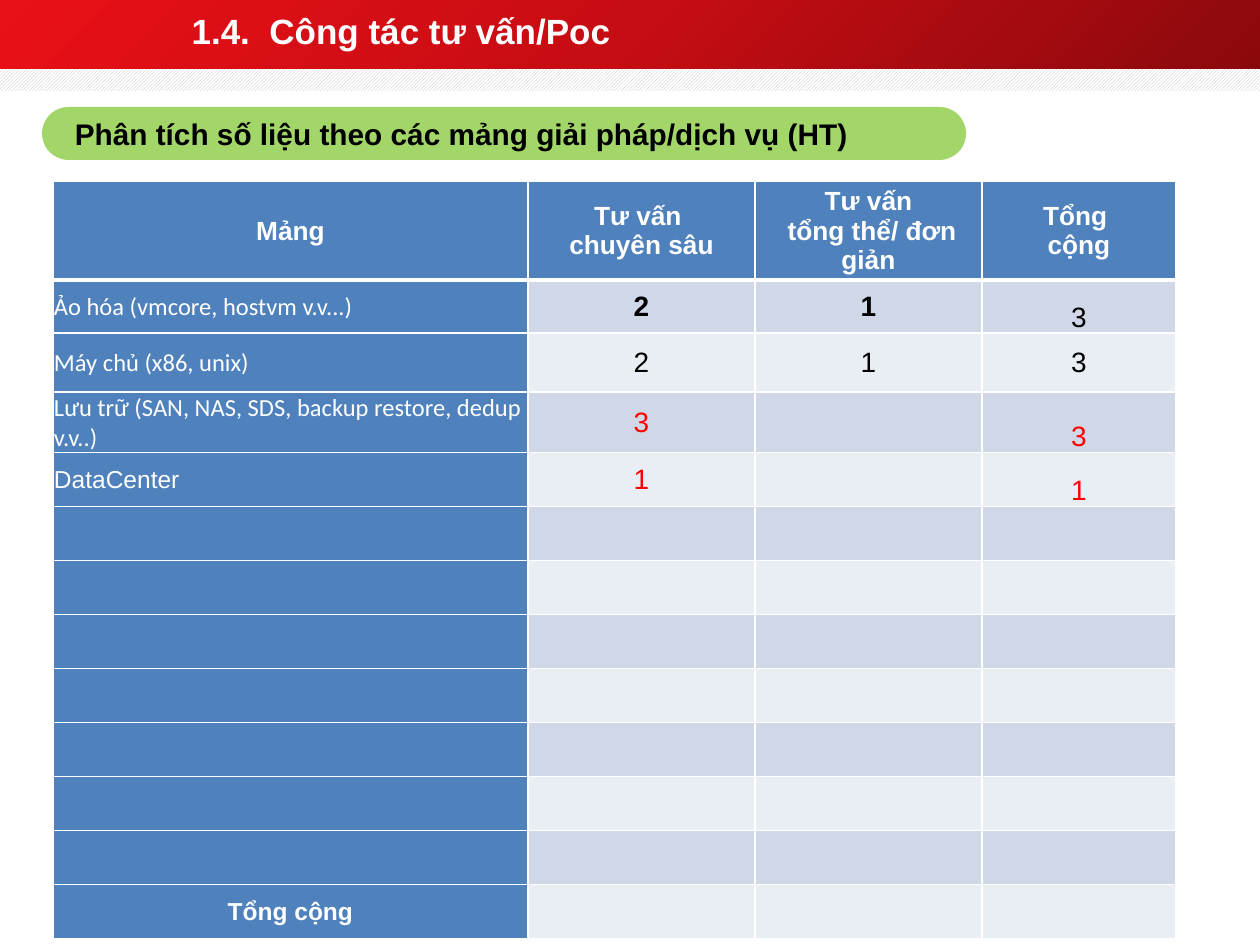
from copy import deepcopy
from dataclasses import dataclass

from pptx import Presentation
from pptx.dml.color import RGBColor
from pptx.enum.dml import MSO_PATTERN as Pattern
from pptx.enum.shapes import MSO_SHAPE as Shape
from pptx.enum.text import MSO_ANCHOR as Anchor, PP_ALIGN as Align
from pptx.oxml import parse_xml
from pptx.oxml.ns import nsdecls, qn
from pptx.util import Pt

TITLE = "1.4.  Công tác tư vấn/Poc"
TOPIC = "Phân tích số liệu theo các mảng giải pháp/dịch vụ (HT)"

# One list per cell: its paragraphs; "\v" breaks a line within a paragraph
HEAD = [["Mảng"], ["Tư vấn ", "chuyên sâu"],
        ["Tư vấn\v tổng thể/ đơn giản"], ["Tổng ", "cộng"]]
# area, font, (in depth, general, total), colour, bold counts, total anchor
AREAS = [
    ("Ảo hóa (vmcore, hostvm v.v...)", "Calibri", ("2", "1", "3"),
     "ink", True, Anchor.BOTTOM),
    ("Máy chủ (x86, unix)", "Calibri", ("2", "1", "3"),
     "ink", False, Anchor.MIDDLE),
    ("Lưu trữ (SAN, NAS, SDS, backup restore, dedup v.v..)", "Calibri",
     ("3", "", "3"), "alert", False, Anchor.BOTTOM),
    ("DataCenter", "Arial", ("1", "", "1"), "alert", False, Anchor.BOTTOM),
]
SUM = "Tổng cộng"
COLS = [475, 227, 227, 194]
ROWS = [99, 53, 59] + [54] * 10


@dataclass(frozen=True)
class Theme:
    font: str = "Arial"
    white: str = "FFFFFF"
    ink: str = "000000"
    alert: str = "FF0000"
    blue: str = "4F81BD"
    bands: tuple = ("E9EDF4", "D0D8E8")
    pill: str = "A2D668"
    hatch: str = "BFBFBF"
    reds: tuple = ("8B090D", "C50D13", "EA1017")
    title: int = 20
    topic: int = 17
    head: int = 15
    label: int = 14
    count: int = 16


T = Theme()


def px(n):
    return round(n * 914400 / 126)


def rgb(code):
    return RGBColor.from_string(code)


def write(frame, paras, size, color, bold=False, font=T.font, align=Align.LEFT):
    for i, text in enumerate(paras):
        para = frame.paragraphs[0] if i == 0 else frame.add_paragraph()
        para.alignment = align
        for j, part in enumerate(text.split("\v")):
            if j:
                para.add_line_break()
            run = para.add_run()
            run.text = part
            run.font.size, run.font.bold, run.font.name = Pt(size), bold, font
            run.font.color.rgb = rgb(color)


def pad(box, left, top, right, bottom):
    box.margin_left, box.margin_top = px(left), px(top)
    box.margin_right, box.margin_bottom = px(right), px(bottom)


def add_box(slide, kind, *place):
    box = slide.shapes.add_shape(kind, *map(px, place))
    box.shadow.inherit = False
    box.line.fill.background()
    return box


def edge(cell, low):
    """Draw white cell borders; low is the width of the bottom one."""
    for side, width in zip("LRTB", (1, 1, 1, low)):
        cell._tc.get_or_add_tcPr().append(parse_xml(
            f'<a:ln{side} {nsdecls("a")} w="{Pt(width)}"><a:solidFill>'
            f'<a:srgbClr val="{T.white}"/></a:solidFill></a:ln{side}>'))


def add_banner(slide):
    band = add_box(slide, Shape.RECTANGLE, 0, 0, 1260, 69)
    band.fill.gradient()
    band.fill.gradient_angle = 135
    stops = band._element.spPr.find(qn("a:gradFill")).find(qn("a:gsLst"))
    stops.append(deepcopy(stops[0]))
    for i, stop in enumerate(band.fill.gradient_stops):
        stop.position = i / 2
        stop.color.rgb = rgb(T.reds[i])

    strip = add_box(slide, Shape.RECTANGLE, 0, 69, 1260, 22)
    strip.fill.patterned()
    strip.fill.pattern = Pattern.DARK_UPWARD_DIAGONAL
    strip.fill.fore_color.rgb = rgb(T.hatch)
    strip.fill.back_color.rgb = rgb(T.white)

    title = slide.shapes.title
    title.left, title.top, title.width, title.height = map(px, (179, 0, 955, 61))
    title.text_frame.vertical_anchor = Anchor.MIDDLE
    write(title.text_frame, [TITLE], T.title, T.white, True)
    slide.shapes._spTree.append(title._element)  # in front of the band


def add_grid(slide):
    frame = slide.shapes.add_table(len(ROWS), len(COLS), px(53), px(181),
                                   px(sum(COLS)), px(sum(ROWS)))
    grid = frame.table
    grid.first_row = grid.horz_banding = False
    for col, width in zip(grid.columns, COLS):
        col.width = px(width)
    for r, height in enumerate(ROWS):
        grid.rows[r].height = px(height)
        for c in range(len(COLS)):
            cell = grid.cell(r, c)
            edge(cell, 1 if r else 3)
            pad(cell, 1, 1, 1, 0)
            cell.vertical_anchor = Anchor.MIDDLE
            cell.fill.solid()
            blue = r == 0 or c == 0
            cell.fill.fore_color.rgb = rgb(T.blue if blue else T.bands[r % 2])

    for c, paras in enumerate(HEAD):
        write(grid.cell(0, c).text_frame, paras, T.head, T.white, True,
              align=Align.CENTER)
    last = len(COLS) - 1
    for r, (area, font, counts, color, bold, anchor) in enumerate(AREAS, 1):
        write(grid.cell(r, 0).text_frame, [area], T.label, T.white, font=font)
        for c, count in enumerate(counts, 1):
            if count:
                write(grid.cell(r, c).text_frame, [count], T.count,
                      getattr(T, color), bold and c < last, align=Align.CENTER)
        grid.cell(r, last).vertical_anchor = anchor
    write(grid.cell(len(ROWS) - 1, 0).text_frame, [SUM], T.label, T.white, True,
          align=Align.CENTER)


def add_topic(slide):
    pill = add_box(slide, Shape.ROUNDED_RECTANGLE, 42, 107, 924, 53)
    pill.adjustments[0] = 0.5
    pill.fill.solid()
    pill.fill.fore_color.rgb = rgb(T.pill)
    text = pill.text_frame
    text.word_wrap = False
    text.vertical_anchor = Anchor.MIDDLE
    pad(text, 25, 6, 13, 6)
    write(text, [TOPIC], T.topic, T.ink, True)


def main():
    deck = Presentation()
    deck.slide_width, deck.slide_height = px(1260), px(945)
    slide = deck.slides.add_slide(deck.slide_layouts[5])
    add_banner(slide)
    add_grid(slide)
    add_topic(slide)
    deck.save("out.pptx")


if __name__ == "__main__":
    main()
